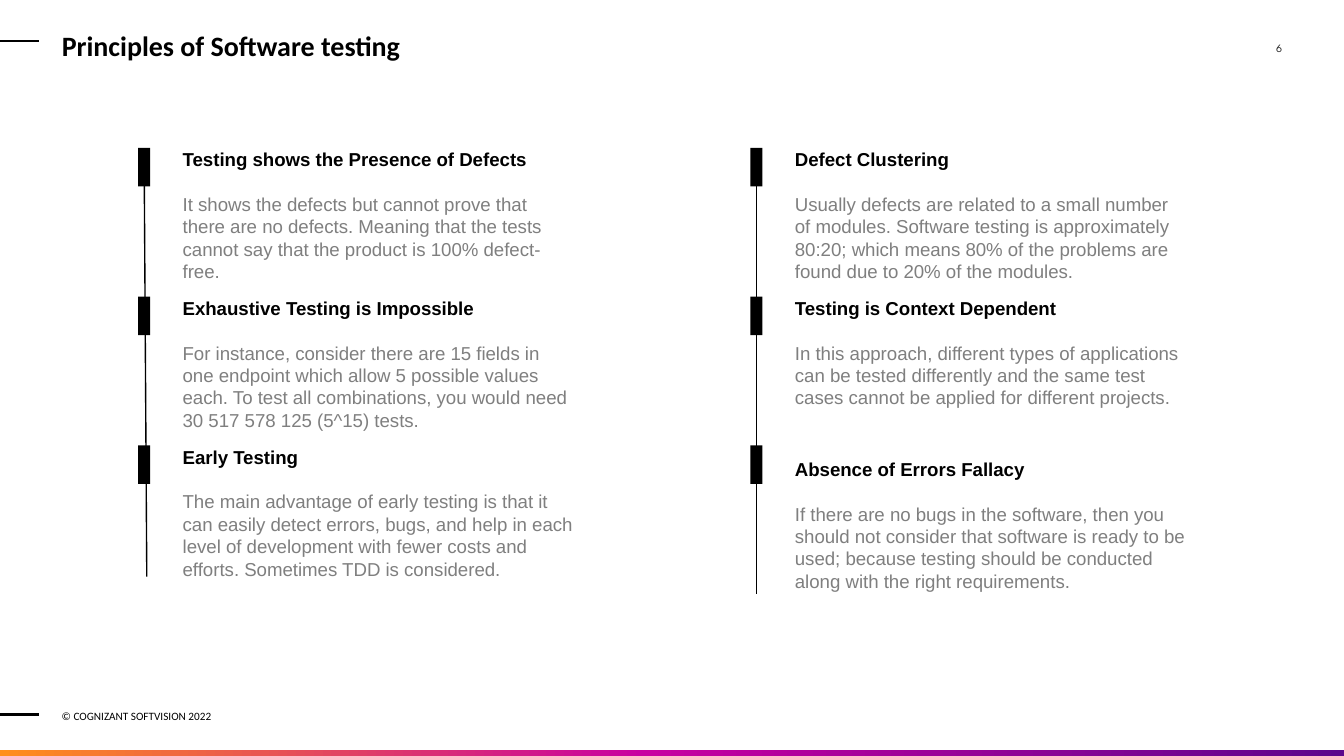
from copy import deepcopy
from dataclasses import dataclass

from lxml import etree
from pptx import Presentation
from pptx.dml.color import RGBColor
from pptx.enum.shapes import MSO_CONNECTOR, MSO_SHAPE
from pptx.enum.text import MSO_ANCHOR, PP_ALIGN
from pptx.oxml.ns import qn
from pptx.util import Pt

RECT = MSO_SHAPE.RECTANGLE
LINE = MSO_CONNECTOR.STRAIGHT
TOP, MID = MSO_ANCHOR.TOP, MSO_ANCHOR.MIDDLE
LEFT, RIGHT = PP_ALIGN.LEFT, PP_ALIGN.RIGHT


@dataclass(frozen=True)
class Theme:
    ink: str = "000000"
    body: str = "7F7F7F"
    page: str = "212121"
    bar: tuple = ((0, "FF8F1C"), (0.48, "C800A1"), (1, "5C068C"))
    head: str = "Calibri"
    text: str = "Arial"
    number: str = "League Spartan"
    title: float = 15
    copy: float = 10
    small: float = 6


class Deck:
    def __init__(self, theme, wide, high):
        self.theme = theme
        self.file = Presentation()
        self.file.slide_width, self.file.slide_height = Pt(wide), Pt(high)
        self.slide = self.file.slides.add_slide(self.file.slide_layouts[6])

    def text(self, box, parts, font, size, inset=(0, 0, 0, 0),
             anchor=TOP, align=LEFT, gap=0):
        """Each part is (wording, colour, bold) and fills one paragraph."""
        frame = self.slide.shapes.add_textbox(*map(Pt, box)).text_frame
        frame.word_wrap = True
        frame.vertical_anchor = anchor
        (frame.margin_left, frame.margin_top,
         frame.margin_right, frame.margin_bottom) = map(Pt, inset)
        for i, (words, color, bold) in enumerate(parts):
            para = frame.add_paragraph() if i else frame.paragraphs[0]
            para.alignment = align
            if i:
                para.space_before = Pt(gap)
            run = para.add_run()
            run.text = words
            run.font.name, run.font.size = font, Pt(size)
            run.font.bold = bold
            run.font.color.rgb = RGBColor.from_string(color)

    def line(self, x1, y1, x2, y2, width):
        line = self.slide.shapes.add_connector(
            LINE, *map(Pt, (x1, y1, x2, y2)))
        line.line.width = Pt(width)
        line.line.color.rgb = RGBColor.from_string(self.theme.ink)
        etree.SubElement(line._element.spPr, qn("a:effectLst"))

    def block(self, *box):
        shape = self.slide.shapes.add_shape(RECT, *map(Pt, box))
        shape.shadow.inherit = False
        shape.line.fill.background()
        shape.fill.solid()
        shape.fill.fore_color.rgb = RGBColor.from_string(self.theme.ink)
        return shape

    def band(self, *box):
        fill = self.block(*box).fill
        fill.gradient()
        fill.gradient_angle = 0
        # The default gradient has two stops; add a third
        first = fill.gradient_stops[0]._gs
        first.addnext(deepcopy(first))
        for stop, (spot, color) in zip(fill.gradient_stops, self.theme.bar):
            stop.position = spot
            stop.color.rgb = RGBColor.from_string(color)


# Columns: left edge, foot of the rule, its drift, drop of the last text, items
COLUMNS = [
    (74, 309, 1.4, 0, [
        ("Testing shows the Presence of Defects",
         "It shows the defects but cannot prove that there are no defects. "
         "Meaning that the tests cannot say that the product is 100% "
         "defect-free."),
        ("Exhaustive Testing is Impossible",
         "For instance, consider there are 15 fields in one endpoint which "
         "allow 5 possible values each. To test all combinations, you would "
         "need 30 517 578 125 (5^15) tests."),
        ("Early Testing",
         "The main advantage of early testing is that it can easily detect "
         "errors, bugs, and help in each level of development with fewer "
         "costs and efforts. Sometimes TDD is considered."),
    ]),
    (402, 318, 0, 6.5, [
        ("Defect Clustering",
         "Usually defects are related to a small number of modules. Software "
         "testing is approximately 80:20; which means 80% of the problems "
         "are found due to 20% of the modules."),
        ("Testing is Context Dependent",
         "In this approach, different types of applications can be tested "
         "differently and the same test cases cannot be applied for "
         "different projects."),
        ("Absence of Errors Fallacy",
         "If there are no bugs in the software, then you should not consider "
         "that software is ready to be used; because testing should be "
         "conducted along with the right requirements."),
    ]),
]
START, PITCH = 79.2, 79.7


def main():
    look = Theme()
    deck = Deck(look, 720, 405)

    # Page frame
    for y in (22, 383):
        deck.line(0, y, 21, y, 1.5)
    deck.band(0, 402, 720, 3)
    deck.text((643.7, 22.3, 43.2, 31), [("6", look.page, False)],
              look.number, look.small, align=RIGHT)
    deck.text((33.1, 378, 160, 11.5),
              [("© COGNIZANT SOFTVISION 2022", look.ink, False)],
              look.head, look.small, anchor=MID)

    # Title
    deck.text((33.1, 13.7, 577.4, 21),
              [("Principles of Software testing", look.ink, True)],
              look.head, look.title, (0, 7.2, 7.2, 7.2), MID)

    # Two timelines of principles
    for x, foot, drift, drop, items in COLUMNS:
        mid = x + 3.25
        deck.line(mid, 88, mid + drift, foot, 0.75)
        for row, (name, body) in enumerate(items):
            y = START + row * PITCH
            deck.block(x, y, 6.5, 20.7)
            if row == len(items) - 1:
                y += drop
            deck.text((x + 16.8, y, 216, 74),
                      [(name, look.ink, True), (body, look.body, False)],
                      look.text, look.copy, (7.2, 0, 0, 3.6), gap=12)

    deck.file.save("out.pptx")


if __name__ == "__main__":
    main()
